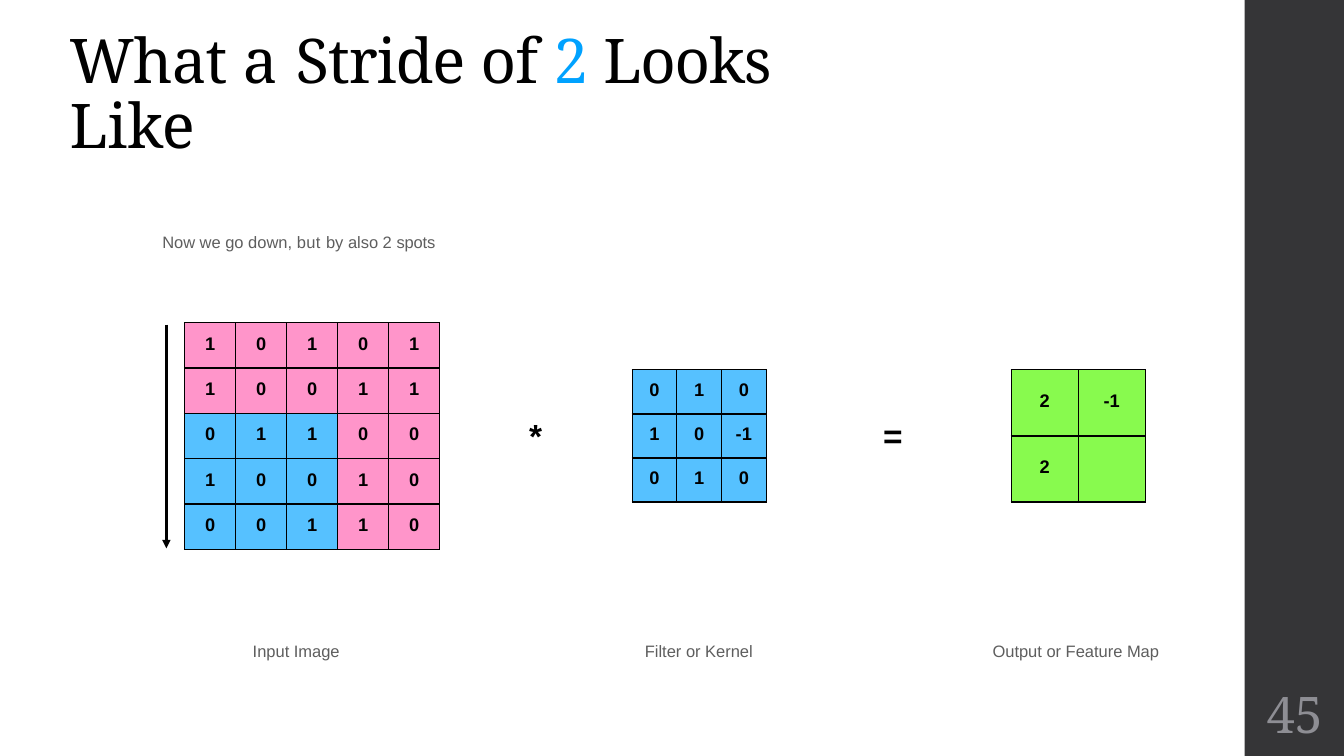
"""Build a slide that shows a convolution with a stride of two."""
from lxml.etree import SubElement
from pptx import Presentation
from pptx.dml.color import RGBColor
from pptx.enum.shapes import MSO_CONNECTOR, MSO_SHAPE
from pptx.enum.text import MSO_ANCHOR, PP_ALIGN
from pptx.oxml.ns import qn
from pptx.util import Inches, Pt

WIDTH, HEIGHT = Inches(13.33), Inches(7.5)
COLORS = {
    "black": "000000", "sidebar": "353537", "accent": "00A2FF",
    "caption": "5E5E5E", "number": "8E8E94",
    "pink": "FF95CA", "blue": "56C1FF", "green": "88FA4E",
}
FONTS = {
    "title": {"name": "Noto Serif", "size": Pt(44)},
    "symbol": {"name": "Arial", "size": Pt(23.9), "bold": True},
    "caption": {"name": "Arial", "size": Pt(11.8)},
    "cell": {"name": "Arial", "size": Pt(13), "bold": True},
    "number": {"name": "Noto Serif", "size": Pt(36)},
}
INPUT_ROWS = ["1 0 1 0 1", "1 0 0 1 1", "0 1 1 0 0", "1 0 0 1 0", "0 0 1 1 0"]
KERNEL_ROWS = ["0 1 0", "1 0 -1", "0 1 0"]
OUTPUT_ROWS = ["2 -1", "2"]
STRIDE, KERNEL_SIZE = 2, len(KERNEL_ROWS)


def across(percent):
    """Return a share of the slide's width."""
    return int(WIDTH * percent / 100)


def down(percent):
    """Return a share of the slide's height."""
    return int(HEIGHT * percent / 100)


def area(left, top, width, height):
    """Return a box given in shares of the slide's size."""
    return across(left), down(top), across(width), down(height)


def color(name):
    """Return a named colour."""
    return RGBColor.from_string(COLORS[name])


def add_run(paragraph, text, style, color_name, spacing=0):
    """Add a styled run with its letter spacing in points."""
    run = paragraph.add_run()
    run.text = text
    for attribute, value in FONTS[style].items():
        setattr(run.font, attribute, value)
    run.font.color.rgb = color(color_name)
    run._r.get_or_add_rPr().set("spc", str(round(spacing * 100)))


def add_text(slide, box, style, runs, **paragraph_format):
    """Add a text box of runs and return its text frame."""
    frame = slide.shapes.add_textbox(*area(*box)).text_frame
    frame_format = {"word_wrap": True, "margin_left": Inches(0.01), "margin_right": 0,
                    "margin_top": Inches(0.01), "margin_bottom": 0}
    for attribute, value in frame_format.items():
        setattr(frame, attribute, value)
    paragraph = frame.paragraphs[0]
    for attribute, value in paragraph_format.items():
        setattr(paragraph, attribute, value)
    for run in runs:
        add_run(paragraph, *run[:1], style, *run[1:])
    return frame


def add_sidebar(slide):
    """Add the dark band and the slide number on it."""
    band = slide.shapes.add_shape(MSO_SHAPE.RECTANGLE, *area(92.6, 0, 7.4, 100))
    band.shadow.inherit = False
    band.fill.solid()
    band.fill.fore_color.rgb = color("sidebar")
    band.line.fill.background()
    frame = add_text(slide, (92.6, 90, 7.4, 8.67), "number", [("45", "number")],
                     alignment=PP_ALIGN.CENTER)
    frame.vertical_anchor = MSO_ANCHOR.MIDDLE


def add_borders(cell):
    """Draw a thin black line on each side of a cell."""
    properties = cell._tc.get_or_add_tcPr()
    for side in ("a:lnL", "a:lnR", "a:lnT", "a:lnB"):
        line = SubElement(properties, qn(side), w=str(Pt(1)))
        fill = SubElement(line, qn("a:solidFill"))
        SubElement(fill, qn("a:srgbClr"), val=COLORS["black"])


def add_matrix(slide, box, rows, top_margin, fill_of):
    """Add a square table of numbers, filled by a rule on row and column."""
    count = len(rows)
    left, top, width, height = area(*box)
    table = slide.shapes.add_table(count, count, left, top, width, height).table
    table.first_row = table.horz_banding = False
    for index in range(count):
        table.columns[index].width = width // count
        table.rows[index].height = height // count
    cell_format = {"margin_left": 0, "margin_right": 0,
                   "margin_top": Inches(top_margin), "margin_bottom": 0}
    for row, line in enumerate(rows):
        for column in range(count):
            cell = table.cell(row, column)
            for attribute, value in cell_format.items():
                setattr(cell, attribute, value)
            add_borders(cell)
            cell.fill.solid()
            cell.fill.fore_color.rgb = color(fill_of(row, column))
            paragraph = cell.text_frame.paragraphs[0]
            paragraph.alignment = PP_ALIGN.CENTER
            paragraph.font.size = FONTS["cell"]["size"]
            for value in line.split()[column:column + 1]:
                add_run(paragraph, value, "cell", "black", -0.5 if len(value) == 1 else 0.15)


def add_down_arrow(slide, left, top, bottom):
    """Add a vertical arrow that points down."""
    arrow = slide.shapes.add_connector(
        MSO_CONNECTOR.STRAIGHT, across(left), down(top), across(left), down(bottom))
    arrow.line.color.rgb = color("black")
    arrow.line.width = Pt(1.65)
    SubElement(arrow.line._get_or_add_ln(), qn("a:tailEnd"), type="triangle")
    SubElement(arrow._element.spPr, qn("a:effectLst"))


def window_fill(row, column):
    """Colour the window that the kernel covers after one stride down."""
    return "blue" if row >= STRIDE and column < KERNEL_SIZE else "pink"


def main():
    """Build and save the slide."""
    presentation = Presentation()
    presentation.slide_width, presentation.slide_height = WIDTH, HEIGHT
    slide = presentation.slides.add_slide(presentation.slide_layouts[6])
    add_sidebar(slide)

    title = add_text(slide, (5.1, 7.73, 59.4, 10), "title", [
        ("What ", "black", -0.5), ("a ", "black", 0.7), ("Stride ", "black", -0.7),
        ("of ", "black", -0.5), ("2 ", "accent", -0.5), ("Looks ", "black", -0.9),
        ("Like", "black", -0.1)], line_spacing=0.88)
    title.vertical_anchor = MSO_ANCHOR.MIDDLE
    add_text(slide, (12, 30.53, 22, 2.8), "caption", [
        ("Now we go down, ", "caption"), ("but ", "caption", 0.3),
        ("by also 2 ", "caption"), ("spots", "caption", -0.1)])

    add_matrix(slide, (13.73, 42.67, 18.98, 30), INPUT_ROWS, 0.11, window_fill)
    add_matrix(slide, (47.03, 48.93, 9.98, 17.47), KERNEL_ROWS, 0.1,
               lambda row, column: "blue")
    add_matrix(slide, (75.23, 48.93, 9.98, 17.47), OUTPUT_ROWS, 0.21,
               lambda row, column: "green")
    add_down_arrow(slide, 12.38, 42.93, 72.53)

    for left, symbol in ((39.3, "*"), (65.63, "=")):
        add_text(slide, (left, 54.8, 2, 5.47), "symbol", [(symbol, "black")])
    for left, width, label in ((18.73, 8, "Input Image"), (47.91, 9, "Filter or Kernel"),
                               (73.78, 14, "Output or Feature Map")):
        add_text(slide, (left, 84.67, width, 2.8), "caption", [(label, "caption")])
    presentation.save("out.pptx")


if __name__ == "__main__":
    main()
